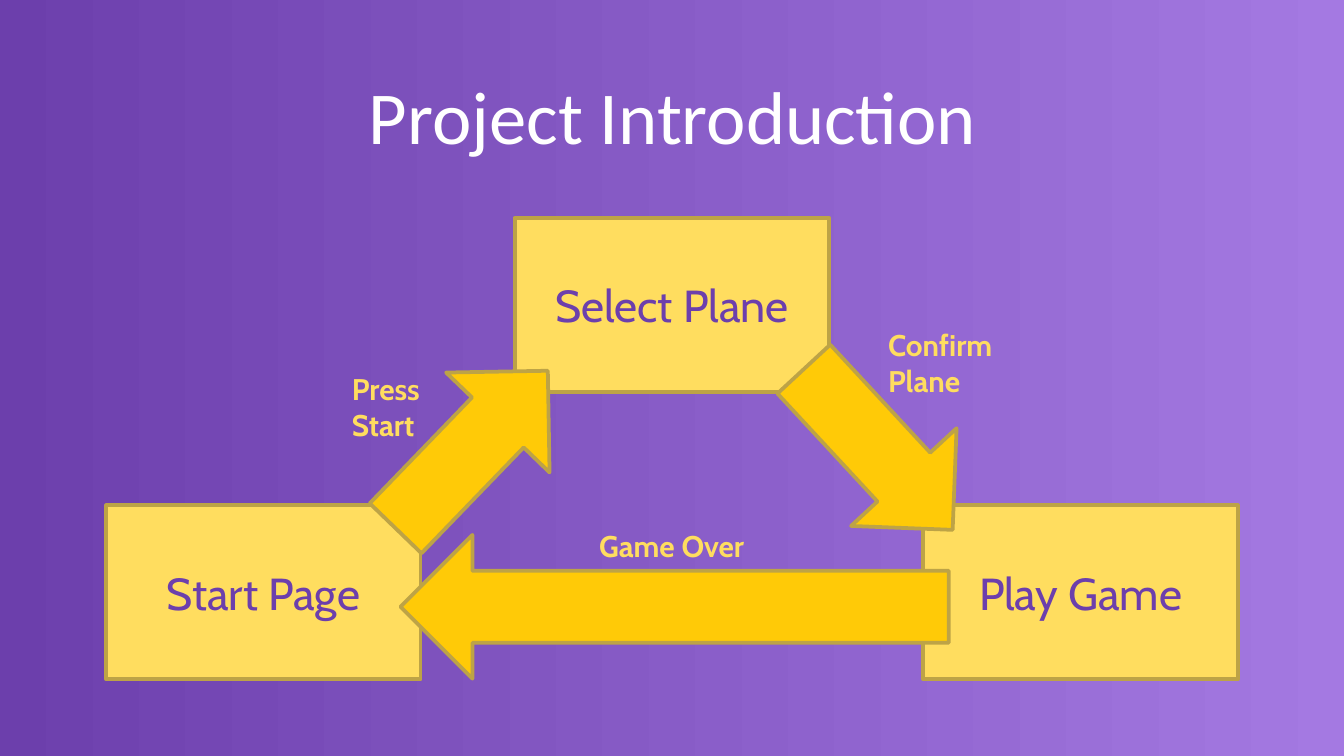
from dataclasses import dataclass

from pptx import Presentation
from pptx.dml.color import RGBColor
from pptx.enum.shapes import MSO_SHAPE
from pptx.enum.text import MSO_ANCHOR, PP_ALIGN
from pptx.shapes.autoshape import Shape
from pptx.slide import Slide
from pptx.util import Emu, Pt

PX = 4572  # 200 px to the inch
PAGE_WIDTH, PAGE_HEIGHT = 2000, 1125

COLOURS = {
    "light purple": "A479E2",
    "purple": "6C3FAC",
    "yellow": "FFDD5F",
    "amber": "FFCA07",
    "outline": "BDA346",
    "white": "FFFFFF",
}


@dataclass(frozen=True)
class Area:
    left: int
    top: int
    width: int
    height: int

    def emu(self) -> list[Emu]:
        return [Emu(n * PX) for n in (self.left, self.top, self.width, self.height)]


@dataclass(frozen=True)
class Arrow:
    area: Area
    rotation: float


@dataclass(frozen=True)
class Caption:
    text: str
    area: Area
    size: int
    colour: str = "yellow"
    font: str = "Cabin"
    bold: bool = False
    align: PP_ALIGN = PP_ALIGN.LEFT
    anchor: MSO_ANCHOR = MSO_ANCHOR.TOP


SCREEN_WIDTH, SCREEN_HEIGHT = 468, 259
SCREENS = [("Start Page", 158, 752), ("Select Plane", 766, 324), ("Play Game", 1374, 752)]

ARROWS = [
    Arrow(Area(539, 562, 326, 214), 314),
    Arrow(Area(1144, 562, 326, 214), 47.2),
    Arrow(Area(596, 796, 816, 214), 180),
]

TITLE = Caption("Project Introduction", Area(158, 114, 1686, 112), 40, "white", "Calibri",
                align=PP_ALIGN.CENTER, anchor=MSO_ANCHOR.MIDDLE)
LABELS = [
    Caption("Press Start", Area(504, 542, 164, 128), 16, bold=True),
    Caption("Confirm Plane", Area(1302, 477, 218, 128), 16, bold=True),
    Caption("Game Over", Area(872, 776, 266, 74), 16, bold=True),
]


def rgb(name: str) -> RGBColor:
    return RGBColor.from_string(COLOURS[name])


def paint_background(page: Slide) -> None:
    fill = page.background.fill
    fill.gradient()
    fill.gradient_angle = 180
    for stop, name in zip(fill.gradient_stops, ("light purple", "purple")):
        stop.color.rgb = rgb(name)


def write(box: Shape, caption: Caption) -> None:
    frame = box.text_frame
    frame.word_wrap = True
    frame.vertical_anchor = caption.anchor
    para = frame.paragraphs[0]
    para.text = caption.text
    para.alignment = caption.align
    para.font.name = caption.font
    para.font.size = Pt(caption.size)
    para.font.bold = caption.bold
    para.font.color.rgb = rgb(caption.colour)


def add_caption(page: Slide, caption: Caption) -> None:
    write(page.shapes.add_textbox(*caption.area.emu()), caption)


def add_outlined(page: Slide, kind: MSO_SHAPE, area: Area, fill: str) -> Shape:
    shape = page.shapes.add_shape(kind, *area.emu())
    shape.shadow.inherit = False
    shape.fill.solid()
    shape.fill.fore_color.rgb = rgb(fill)
    shape.line.color.rgb = rgb("outline")
    shape.line.width = Pt(2)
    return shape


def add_screen(page: Slide, name: str, left: int, top: int) -> None:
    area = Area(left, top, SCREEN_WIDTH, SCREEN_HEIGHT)
    box = add_outlined(page, MSO_SHAPE.RECTANGLE, area, "yellow")
    write(box, Caption(name, area, 24, "purple", align=PP_ALIGN.CENTER,
                       anchor=MSO_ANCHOR.MIDDLE))


def add_arrow(page: Slide, arrow: Arrow) -> None:
    shape = add_outlined(page, MSO_SHAPE.RIGHT_ARROW, arrow.area, "amber")
    shape.rotation = arrow.rotation


def main() -> None:
    deck = Presentation()
    deck.slide_width, deck.slide_height = Emu(PAGE_WIDTH * PX), Emu(PAGE_HEIGHT * PX)
    page = deck.slides.add_slide(deck.slide_layouts[6])
    paint_background(page)
    add_caption(page, TITLE)
    for name, left, top in SCREENS:
        add_screen(page, name, left, top)
    for arrow in ARROWS:
        add_arrow(page, arrow)
    for label in LABELS:
        add_caption(page, label)
    deck.save("out.pptx")


if __name__ == "__main__":
    main()
